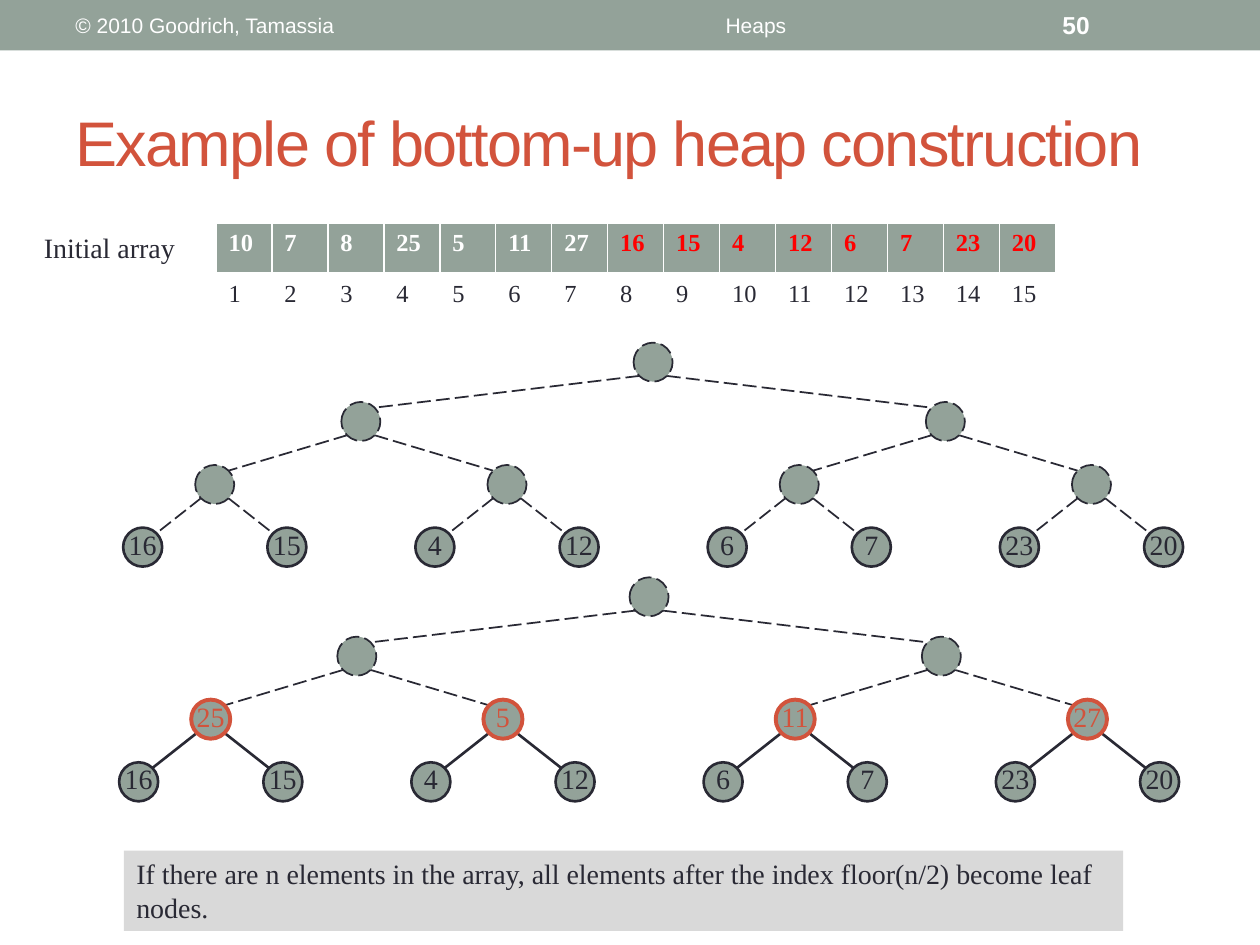
from dataclasses import dataclass
from math import sqrt

from lxml import etree
from pptx import Presentation
from pptx.dml.color import RGBColor
from pptx.enum.dml import MSO_LINE
from pptx.enum.shapes import MSO_CONNECTOR, MSO_SHAPE
from pptx.enum.text import MSO_ANCHOR, MSO_AUTO_SIZE, PP_ALIGN
from pptx.oxml.ns import qn
from pptx.util import Pt

RECTANGLE, CIRCLE = MSO_SHAPE.RECTANGLE, MSO_SHAPE.OVAL
STRAIGHT = MSO_CONNECTOR.STRAIGHT
LONG_DASH = MSO_LINE.LONG_DASH
TOP, MIDDLE = MSO_ANCHOR.TOP, MSO_ANCHOR.MIDDLE
LEFT, CENTER = PP_ALIGN.LEFT, PP_ALIGN.CENTER
FIXED, GROW = MSO_AUTO_SIZE.NONE, MSO_AUTO_SIZE.SHAPE_TO_FIT_TEXT
TITLE_ONLY = 5


@dataclass(frozen=True)
class Theme:
    sage: str = "93A299"
    ink: str = "292934"
    accent: str = "D2533C"
    leaf_red: str = "FF0000"
    white: str = "FFFFFF"
    note_gray: str = "D9D9D9"
    sans: str = "Arial"
    serif: str = "Times New Roman"
    title_size: float = 36
    body_size: float = 16
    table_size: float = 14
    header_size: float = 12


THEME = Theme()
DIAMETER = 22.3
EDGE_INSET = DIAMETER / 2 * (1 - 1 / sqrt(2))
CHILD_OFFSETS = [167, 83.5, 41.2]
LEVEL_TOPS = [0, 33.9, 69.9, 105.7]
ARRAY = [10, 7, 8, 25, 5, 11, 27, 16, 15, 4, 12, 6, 7, 23, 20]
INTERNAL_COUNT = len(ARRAY) // 2


def apply(target, formats):
    for attribute, value in formats.items():
        setattr(target, attribute, value)


def color(hex_value):
    return RGBColor.from_string(hex_value)


def write(frame, text, size, ink, font=THEME.serif, bold=False, align=LEFT, **formats):
    apply(frame, {"word_wrap": True, "vertical_anchor": TOP, **formats})
    paragraph = frame.paragraphs[0]
    paragraph.alignment = align
    run = paragraph.add_run()
    run.text = text
    apply(run.font, {"name": font, "size": Pt(size), "bold": bold})
    run.font.color.rgb = color(ink)
    return run


def place(shape, left, top, width, height):
    apply(shape, {"left": Pt(left), "top": Pt(top),
                  "width": Pt(width), "height": Pt(height)})


def add_filled(slide, kind, box, fill):
    shape = slide.shapes.add_shape(kind, *map(Pt, box))
    shape.shadow.inherit = False
    shape.fill.solid()
    shape.fill.fore_color.rgb = color(fill)
    shape.line.fill.background()
    return shape


def draw_line(line, ink, width, dashed):
    line.color.rgb = color(ink)
    line.width = Pt(width)
    if dashed:
        line.dash_style = LONG_DASH


def add_header(slide):
    add_filled(slide, RECTANGLE, (0, 0, 720, 28.8), THEME.sage)
    for text, left, width, size, bold, align in [
        ("© 2010 Goodrich, Tamassia", 36, 228, THEME.header_size, False, LEFT),
        ("Heaps", 270, 324, THEME.header_size, False, CENTER),
        ("50", 600, 84, THEME.table_size, True, LEFT),
    ]:
        label = slide.shapes.add_textbox(Pt(left), Pt(1.4), Pt(width), Pt(26))
        write(label.text_frame, text, size, THEME.white, THEME.sans, bold, align,
              vertical_anchor=MIDDLE)


def add_title(slide, text):
    title = slide.shapes.title
    place(title, 36, 42, 648, 78)
    run = write(title.text_frame, text, THEME.title_size, THEME.accent, THEME.sans,
                vertical_anchor=MIDDLE, auto_size=FIXED)
    run._r.get_or_add_rPr().set("spc", "-100")


def add_text_panel(slide, text, box, fill):
    panel = add_filled(slide, RECTANGLE, box, fill)
    write(panel.text_frame, text, THEME.body_size, THEME.ink, auto_size=GROW)


def add_cell_borders(cell, bottom_width):
    properties = cell._tc.get_or_add_tcPr()
    for side, width in [("L", 1), ("R", 1), ("T", 1), ("B", bottom_width)]:
        border = etree.SubElement(properties, qn(f"a:ln{side}"), w=str(Pt(width)))
        solid = etree.SubElement(border, qn("a:solidFill"))
        etree.SubElement(solid, qn("a:srgbClr"), val=THEME.white)


def fill_cell(cell, value, ink, fill=None):
    add_cell_borders(cell, 3 if fill else 1)
    if fill:
        cell.fill.solid()
        cell.fill.fore_color.rgb = color(fill)
    else:
        cell.fill.background()
    write(cell.text_frame, str(value), THEME.table_size, ink, bold=bool(fill))


def add_array(slide):
    array = slide.shapes.add_table(2, len(ARRAY), Pt(123.4), Pt(127.6),
                                   Pt(480), Pt(58.4)).table
    for row in array.rows:
        row.height = Pt(29.2)
    for index, value in enumerate(ARRAY):
        array.columns[index].width = Pt(32)
        ink = THEME.white if index < INTERNAL_COUNT else THEME.leaf_red
        fill_cell(array.cell(0, index), value, ink, THEME.sage)
        fill_cell(array.cell(1, index), index + 1, THEME.ink)


def add_edge(slide, parent, child, dashed):
    reach = DIAMETER / 2 - EDGE_INSET
    side = 1 if child[0] > parent[0] else -1
    edge = slide.shapes.add_connector(
        STRAIGHT,
        Pt(parent[0] + side * reach), Pt(parent[1] + DIAMETER - EDGE_INSET),
        Pt(child[0] - side * reach), Pt(child[1] + EDGE_INSET))
    draw_line(edge.line, THEME.ink, 1 if dashed else 1.5, dashed)
    etree.SubElement(edge._element.spPr, qn("a:effectLst"))


def add_node(slide, center, value, is_leaf):
    box = (center[0] - DIAMETER / 2, center[1], DIAMETER, DIAMETER)
    node = add_filled(slide, CIRCLE, box, THEME.sage)
    if value is None:
        draw_line(node.line, THEME.ink, 1, True)
        return
    ink, width = (THEME.ink, 1.5) if is_leaf else (THEME.accent, 2.25)
    draw_line(node.line, ink, width, False)
    write(node.text_frame, str(value), THEME.body_size, ink, align=CENTER,
          vertical_anchor=MIDDLE, word_wrap=False, margin_left=0,
          margin_right=0, margin_top=0, margin_bottom=Pt(3.6))


def add_heap(slide, root_x, root_top, first_filled):
    values = [value if index >= first_filled else None
              for index, value in enumerate(ARRAY)]

    def add_subtree(index, level, x):
        center = (x, root_top + LEVEL_TOPS[level])
        if index < INTERNAL_COUNT:
            for child, side in [(2 * index + 1, -1), (2 * index + 2, 1)]:
                child_x = x + side * CHILD_OFFSETS[level]
                child_center = (child_x, root_top + LEVEL_TOPS[level + 1])
                add_edge(slide, center, child_center, values[index] is None)
                add_subtree(child, level + 1, child_x)
        add_node(slide, center, values[index], index >= INTERNAL_COUNT)

    add_subtree(0, 0, root_x)


def main():
    deck = Presentation()
    apply(deck, {"slide_width": Pt(720), "slide_height": Pt(540)})
    slide = deck.slides.add_slide(deck.slide_layouts[TITLE_ONLY])
    add_header(slide)
    add_title(slide, "Example of bottom-up heap construction")
    add_heap(slide, 373.2, 195.8, INTERNAL_COUNT)
    add_heap(slide, 370.9, 329.9, INTERNAL_COUNT // 2)
    add_array(slide)
    add_text_panel(slide, "If there are n elements in the array, all elements after "
                   "the index floor(n/2) become leaf nodes.",
                   (70.8, 486, 571, 46), THEME.note_gray)
    add_text_panel(slide, "Initial array", (18, 128.2, 95, 26.6), THEME.white)
    deck.save("out.pptx")


if __name__ == "__main__":
    main()
